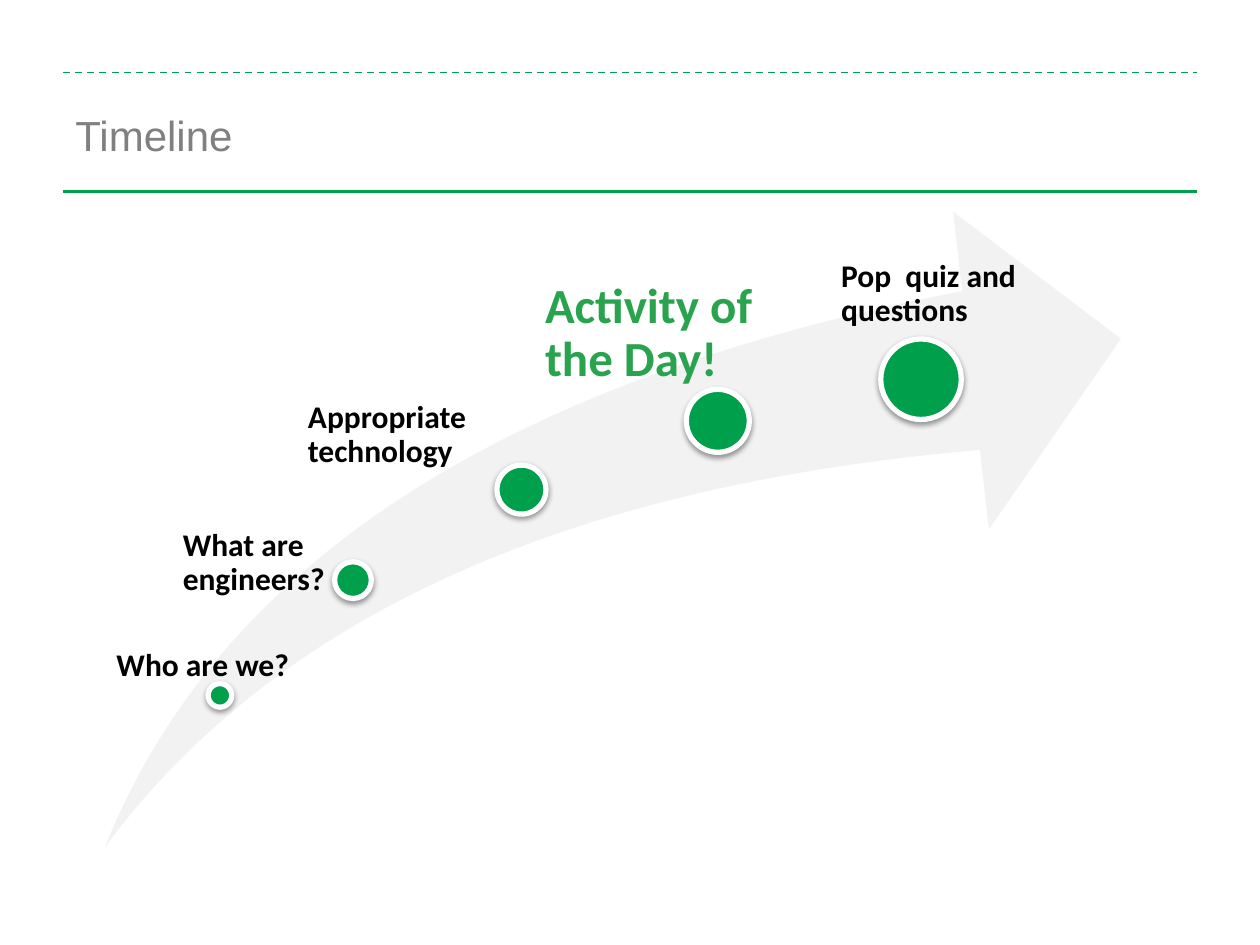
"""Build the workshop timeline slide with a swoosh arrow and five milestones."""
from lxml.etree import SubElement
from pptx import Presentation
from pptx.dml.color import RGBColor
from pptx.enum.dml import MSO_LINE
from pptx.enum.shapes import MSO_CONNECTOR, MSO_SHAPE
from pptx.enum.text import MSO_ANCHOR
from pptx.oxml.ns import qn
from pptx.util import Pt

GREEN = "009F4C"


def color(hex_code):
    return RGBColor.from_string(hex_code)


def add_text(text, left, top, width, height, *, inset=7.2, size=18, font="Calibri",
             fill="000000", bold=True, spacing=0.9, anchor=MSO_ANCHOR.TOP):
    frame = slide.shapes.add_textbox(Pt(left), Pt(top), Pt(width), Pt(height)).text_frame
    frame.word_wrap = True
    frame.vertical_anchor = anchor
    frame.margin_left = Pt(inset)
    frame.margin_right = frame.margin_top = frame.margin_bottom = 0
    paragraph = frame.paragraphs[0]
    paragraph.line_spacing = spacing
    run = paragraph.add_run()
    run.text = text
    run.font.name = font
    run.font.size = Pt(size)
    run.font.bold = bold
    run.font.color.rgb = color(fill)


presentation = Presentation()
presentation.slide_width = Pt(720)
presentation.slide_height = Pt(540)
slide = presentation.slides.add_slide(presentation.slide_layouts[6])

for y, weight, dash in [(41.5, 1, MSO_LINE.DASH), (109.5, 2, MSO_LINE.SOLID)]:
    rule = slide.shapes.add_connector(MSO_CONNECTOR.STRAIGHT, Pt(36), Pt(y), Pt(684), Pt(y))
    rule.line.color.rgb = color(GREEN)
    rule.line.width = Pt(weight)
    rule.line.dash_style = dash
    SubElement(rule.element.spPr, qn("a:effectLst"))

add_text("Timeline", 36, 42, 648, 70, size=24, font="Arial", fill="808080",
         bold=False, spacing=1, anchor=MSO_ANCHOR.MIDDLE)

swoosh = slide.shapes.add_shape(MSO_SHAPE.SWOOSH_ARROW, Pt(60), Pt(121), Pt(580.5), Pt(363))
swoosh.adjustments[0] = 0.25
swoosh.adjustments[1] = 0.25
swoosh.shadow.inherit = False
swoosh.fill.solid()
swoosh.fill.fore_color.rgb = color("F2F2F2")
swoosh.line.fill.background()

plain = {"size": 18}
featured = {"size": 28, "fill": "29A34D"}
milestones = [
    ("Who are we?", (125.7, 397.4, 13.5), (59.5, 371, 128, 18), 7.2, plain),
    ("What are engineers?", (201.7, 331.5, 21), (93.5, 302.5, 96.5, 152), 11, plain),
    ("Appropriate technology", (298, 279.8, 28), (161, 229, 136, 204), 15, plain),
    ("Activity of the Day!", (410.2, 240.5, 36), (292.5, 160.5, 158, 243), 19, featured),
    ("Pop  quiz and questions", (526.3, 216.7, 46), (456.5, 148.5, 159, 267), 24.2, plain),
]

for label, (center_x, center_y, diameter), label_box, inset, style in milestones:
    dot = slide.shapes.add_shape(
        MSO_SHAPE.OVAL, Pt(center_x - diameter / 2), Pt(center_y - diameter / 2),
        Pt(diameter), Pt(diameter))
    dot.fill.solid()
    dot.fill.fore_color.rgb = color(GREEN)
    dot.line.color.rgb = color("FFFFFF")
    dot.line.width = Pt(3)
    effects = SubElement(dot.element.spPr, qn("a:effectLst"))
    shadow = SubElement(effects, qn("a:outerShdw"), blurRad=str(Pt(3.1)), dist=str(Pt(1.6)),
                        dir="5400000", rotWithShape="0")
    shade = SubElement(shadow, qn("a:srgbClr"), val="000000")
    SubElement(shade, qn("a:alpha"), val="38000")
    add_text(label, *label_box, inset=inset, **style)

presentation.save("out.pptx")
